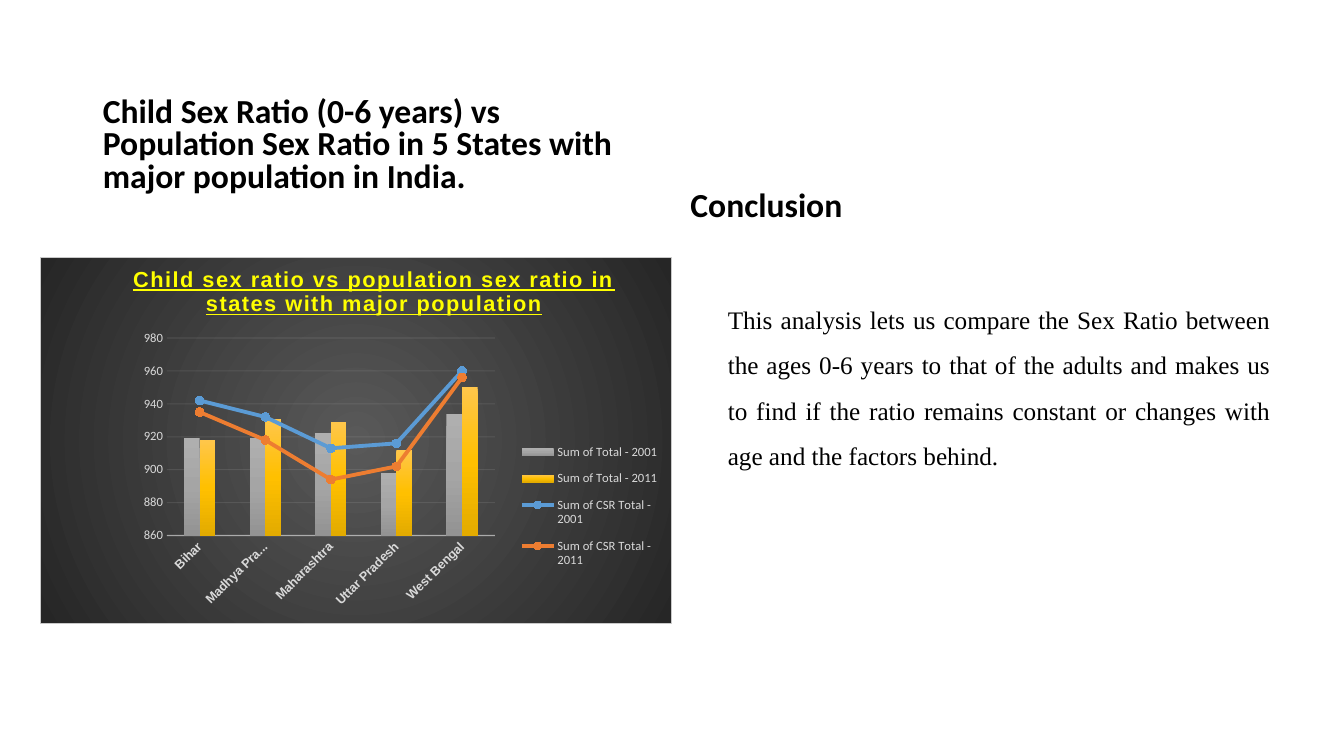
import pptx
import pptx.util
import pptx.oxml
import pptx.oxml.ns
import pptx.dml.color
import pptx.chart.data
import pptx.enum.chart
import pptx.enum.text
from lxml import etree

W, H = 13.33, 7.5
IN, PT = pptx.util.Inches, pptx.util.Pt
ALIGN = pptx.enum.text.PP_ALIGN
ANCHOR = pptx.enum.text.MSO_ANCHOR
NS = pptx.oxml.ns.nsdecls("a", "c")
qn = pptx.oxml.ns.qn

STATES = ["Bihar", "Madhya Pradesh", "Maharashtra", "Uttar Pradesh", "West Bengal"]
BARS = [
    ("Sum of Total - 2001", [919, 919, 922, 898, 934], ["AFAFAF", "A5A5A5", "939393"]),
    ("Sum of Total - 2011", [918, 931, 929, 912, 950], ["FFC64B", "FFC000", "E3AB00"]),
]
LINES = [
    ("Sum of CSR Total - 2001", [942, 932, 913, 916, 960], "5B9BD5"),
    ("Sum of CSR Total - 2011", [935, 918, 894, 902, 956], "ED7D31"),
]


def rgb(h):
    return pptx.dml.color.RGBColor.from_string(h)


def place(sp, box):
    sp.left, sp.top, sp.width, sp.height = [IN(v) for v in box]


def style(font, size, color, name="Calibri", bold=False):
    font.size, font.name, font.bold = PT(size), name, bold
    font.color.rgb = rgb(color)


def write(sp, text, size=24, font="Calibri", bold=False, align=ALIGN.LEFT,
          anchor=ANCHOR.BOTTOM, spacing=0.8, before=0, after=0, right=0.1, bottom=0.05):
    tf = sp.text_frame
    tf.word_wrap, tf.auto_size = True, pptx.enum.text.MSO_AUTO_SIZE.NONE
    tf.vertical_anchor = anchor
    tf.margin_left, tf.margin_right = IN(0.1), IN(right)
    tf.margin_top, tf.margin_bottom = IN(0.05), IN(bottom)
    p = tf.paragraphs[0]
    p.alignment, p.line_spacing = align, spacing
    p.space_before, p.space_after = PT(before), PT(after)
    r = p.add_run()
    r.text = text
    style(r.font, size, "000000", font, bold)


def gradient(colors, direction):
    step = 100000 // (len(colors) - 1)
    stops = "".join(f'<a:gs pos="{i * step}"><a:srgbClr val="{c}"/></a:gs>'
                    for i, c in enumerate(colors))
    return pptx.oxml.parse_xml(f"<a:gradFill {NS}><a:gsLst>{stops}</a:gsLst>{direction}</a:gradFill>")


def faint_line(line, width, percent):
    line.width = PT(width)
    line.color.rgb = rgb("F2F2F2")
    color = line._get_or_add_ln().find(".//" + qn("a:srgbClr"))
    etree.SubElement(color, qn("a:alpha"), val=str(percent * 1000))


def set_layout(parent, anchor, **shares):
    for old in parent.findall(qn("c:layout")):
        parent.remove(old)
    inner = '<c:layoutTarget val="inner"/>' if anchor is None else ""
    modes = "".join(f'<c:{k}Mode val="edge"/>' for k in "xy")
    sizes = "".join(f'<c:{k} val="{v}"/>' for k, v in shares.items())
    layout = pptx.oxml.parse_xml(
        f"<c:layout {NS}><c:manualLayout>{inner}{modes}{sizes}</c:manualLayout></c:layout>")
    if anchor is None:
        parent.insert(0, layout)
    else:
        parent.find(qn(anchor)).addnext(layout)


def split_lines(chart):
    bar = chart._chartSpace.find(".//" + qn("c:barChart"))
    line = pptx.oxml.parse_xml(
        f'<c:lineChart {NS}><c:grouping val="standard"/><c:varyColors val="0"/></c:lineChart>')
    for ser in bar.findall(qn("c:ser"))[len(BARS):]:
        for flag in ser.findall(qn("c:invertIfNegative")):
            ser.remove(flag)
        line.append(ser)
    etree.SubElement(line, qn("c:marker"), val="1")
    for ax in bar.findall(qn("c:axId")):
        etree.SubElement(line, qn("c:axId"), val=ax.get("val"))
    bar.addnext(line)


def format_series(chart):
    bars, lines = list(chart.plots)
    bars.gap_width, bars.overlap, bars.vary_by_categories = 219, 0, False
    for ser, (_, _, colors) in zip(bars.series, BARS):
        ser.format.fill.background()
        sp_pr = ser._element.find(qn("c:spPr"))
        sp_pr.replace(sp_pr[0], gradient(colors, '<a:lin ang="5400000" scaled="0"/>'))
    for ser, (_, _, color) in zip(lines.series, LINES):
        ser.smooth = False
        ser.format.line.width = PT(2.75)
        ser.format.line.color.rgb = rgb(color)
        ser.marker.style, ser.marker.size = pptx.enum.chart.XL_MARKER_STYLE.CIRCLE, 6
        ser.marker.format.fill.solid()
        ser.marker.format.fill.fore_color.rgb = rgb(color)
        ser.marker.format.line.color.rgb = rgb(color)


def format_axes(chart):
    cat, val = chart.category_axis, chart.value_axis
    for ax in (cat, val):
        ax.major_tick_mark = ax.minor_tick_mark = pptx.enum.chart.XL_TICK_MARK.NONE
    style(cat.tick_labels.font, 9.1, "D9D9D9", "Arial", True)
    style(val.tick_labels.font, 9, "D9D9D9")
    cat._element.find(qn("c:txPr")).find(qn("a:bodyPr")).set("rot", "-2700000")
    faint_line(cat.format.line, 1, 54)
    val.format.line.fill.background()
    val.minimum_scale, val.maximum_scale, val.major_unit = 860, 980, 20
    faint_line(val.major_gridlines.format.line, 0.75, 10)


def format_title(chart, text):
    chart.has_title = True
    r = chart.chart_title.text_frame.paragraphs[0].add_run()
    r.text = text
    style(r.font, 15.6, "FFFF00", "Arial", True)
    r.font.underline = True
    r.font._element.set("spc", "100")
    set_layout(chart.chart_title._element, "c:tx", x=0.14, y=0.01)


def add_ratio_chart(s, box):
    data = pptx.chart.data.CategoryChartData()
    data.categories = STATES
    for name, values, _ in BARS + LINES:
        data.add_series(name, values)
    kind = pptx.enum.chart.XL_CHART_TYPE.COLUMN_CLUSTERED
    chart = s.shapes.add_chart(kind, *[IN(v) for v in box], data).chart
    style(chart.font, 10, "000000")
    split_lines(chart)
    format_series(chart)
    format_axes(chart)
    format_title(chart, "Child sex ratio vs population sex ratio in states with major population")
    chart.has_legend = True
    chart.legend.position = pptx.enum.chart.XL_LEGEND_POSITION.RIGHT
    chart.legend.include_in_layout = False
    style(chart.legend.font, 9, "D9D9D9")
    set_layout(chart.legend._element, "c:legendPos", x=0.75, y=0.48, w=0.24, h=0.4)
    set_layout(chart._chartSpace.find(".//" + qn("c:plotArea")), None, x=0.2, y=0.22, w=0.52, h=0.54)
    sp_pr = pptx.oxml.parse_xml(
        f'<c:spPr {NS}><a:ln w="9525"><a:solidFill><a:srgbClr val="C9C9C9"/></a:solidFill></a:ln></c:spPr>')
    sp_pr.insert(0, gradient(["595959", "262626"],
                             '<a:path path="circle"><a:fillToRect l="50000" t="50000" r="50000" b="50000"/></a:path>'))
    chart._chartSpace.find(qn("c:txPr")).addprevious(sp_pr)


def add_heading(sp, box, text):
    place(sp, box)
    write(sp, text, bold=True, before=10, bottom=0.52)


def add_conclusion(s, box):
    x, y, w, h = box
    heading = s.shapes.add_textbox(0, 0, 0, 0)
    add_heading(heading, (x, y, w * 0.88, 0.9), "Conclusion")
    body = s.shapes.add_textbox(0, 0, 0, 0)
    place(body, (x + 0.37, y + 0.98, w - 0.37, h - 0.98))
    write(body, "This analysis lets us compare the Sex Ratio between the ages 0-6 years to that of "
                "the adults and makes us to find if the ratio remains constant or changes with age "
                "and the factors behind.",
          size=18, font="Times New Roman", align=ALIGN.JUSTIFY, anchor=ANCHOR.TOP,
          spacing=1.5, after=10, right=0.62)


def main():
    prs = pptx.Presentation()
    prs.slide_width, prs.slide_height = IN(W), IN(H)
    s = prs.slides.add_slide(prs.slide_layouts[5])
    add_heading(s.shapes.title, (0.92, 1.37, 5.64, 1.08),
                "Child Sex Ratio (0-6 years) vs Population Sex Ratio in 5 States with major population in India.")
    add_ratio_chart(s, (W * 0.03, H * 0.34, W * 0.47, 3.64))
    add_conclusion(s, (6.75, 1.84, 6.47, 2.85))
    prs.save("out.pptx")


if __name__ == "__main__":
    main()
